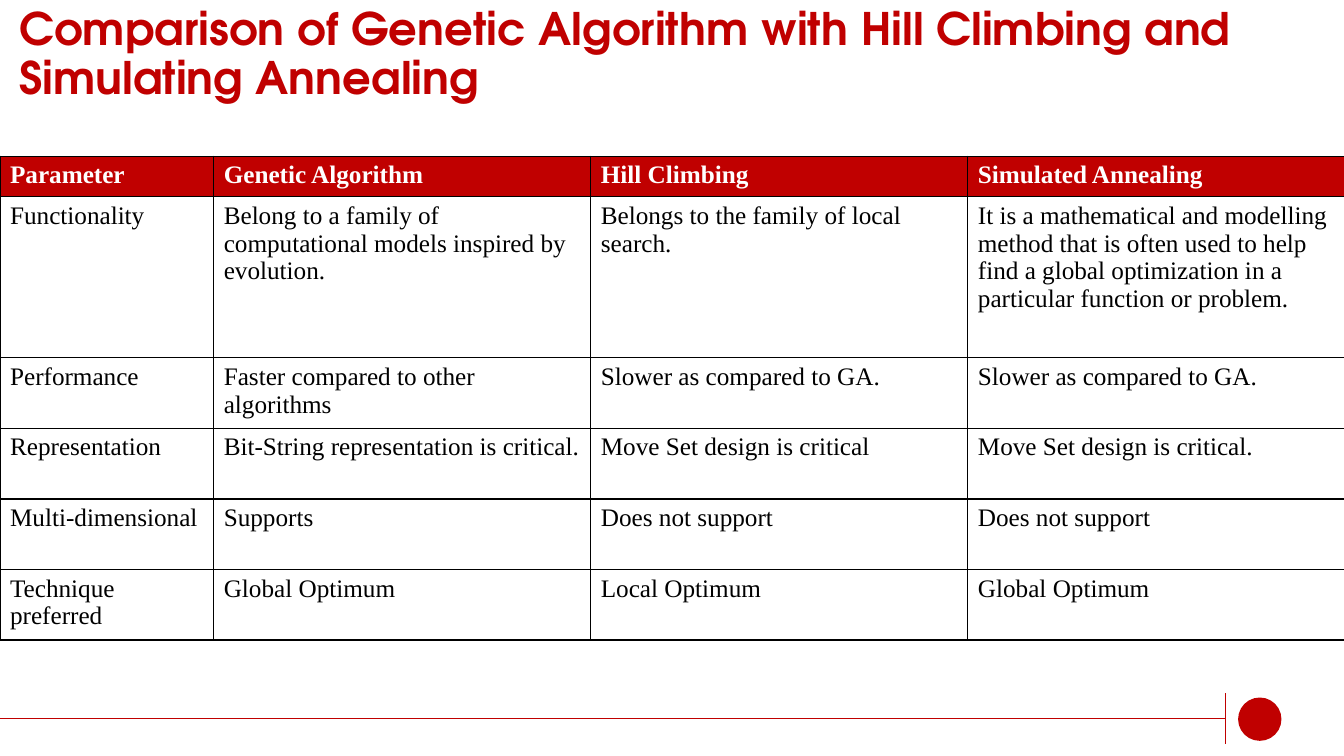
from lxml import etree
from pptx import Presentation
from pptx.dml.color import RGBColor
from pptx.enum.shapes import MSO_CONNECTOR, MSO_SHAPE
from pptx.enum.text import MSO_ANCHOR, MSO_AUTO_SIZE, PP_ALIGN
from pptx.oxml.ns import qn
from pptx.util import Inches, Pt

RED = RGBColor(0xC0, 0x00, 0x00)
WHITE = RGBColor(0xFF, 0xFF, 0xFF)
BLACK = RGBColor(0x00, 0x00, 0x00)
STRAIGHT = MSO_CONNECTOR.STRAIGHT
OVAL = MSO_SHAPE.OVAL
BOTTOM = MSO_ANCHOR.BOTTOM
LEFT = PP_ALIGN.LEFT
NO_AUTOFIT = MSO_AUTO_SIZE.NONE
TITLE_ONLY = 5

TITLE_FONT = {"name": "TeX Gyre Adventor", "size": Pt(32), "bold": True}
HEADER_FONT = {"name": "Times New Roman", "size": Pt(18), "bold": True}
BODY_FONT = {**HEADER_FONT, "bold": False}

TITLE = ("Comparison of Genetic Algorithm with Hill Climbing and "
         "Simulating Annealing")
COL_WIDTHS = [2.12, 3.74, 3.74, 3.74]
ROW_HEIGHTS = [0.4, 1.6, 0.7, 0.7, 0.7, 0.7]
ROWS = [
    ["Parameter", "Genetic Algorithm", "Hill Climbing", "Simulated Annealing"],
    ["Functionality",
     "Belong to a family of computational models inspired by evolution.",
     "Belongs to the family of local search.",
     "It is a mathematical and modelling method that is often used to help "
     "find a global optimization in a particular function or problem."],
    ["Performance", "Faster compared to other algorithms",
     "Slower as compared to GA.", "Slower as compared to GA."],
    ["Representation", "Bit-String representation is critical.",
     "Move Set design is critical", "Move Set design is critical."],
    ["Multi-dimensional", "Supports", "Does not support", "Does not support"],
    ["Technique preferred", "Global Optimum", "Local Optimum",
     "Global Optimum"],
]


def write_text(p, text, font, color):
    r = p.add_run()
    r.text = text
    for name, value in font.items():
        setattr(r.font, name, value)
    r.font.color.rgb = color


def set_title(s):
    sp = s.shapes.title
    sp.left, sp.top = Inches(0.09), Inches(0.24)
    sp.width, sp.height = Inches(12.62), Inches(0.84)
    tf = sp.text_frame
    tf.auto_size = NO_AUTOFIT
    tf.word_wrap = True
    tf.vertical_anchor = BOTTOM
    p = tf.paragraphs[0]
    p.alignment = LEFT
    p.line_spacing = 0.9
    write_text(p, TITLE, TITLE_FONT, RED)


def add_rule(s, x1, y1, x2, y2):
    """Draw a thin red line of the footer."""
    line = s.shapes.add_connector(
        STRAIGHT, Inches(x1), Inches(y1), Inches(x2), Inches(y2))
    line.line.color.rgb = RED
    line.line.width = Pt(0.5)
    etree.SubElement(line._element.spPr, qn("a:effectLst"))


def add_dot(s, left, top, size):
    dot = s.shapes.add_shape(
        OVAL, Inches(left), Inches(top), Inches(size), Inches(size))
    dot.shadow.inherit = False
    dot.fill.solid()
    dot.fill.fore_color.rgb = RED
    dot.line.fill.background()


def set_borders(cell):
    """Give the cell a 1 pt black line on each side, ahead of its fill."""
    tcPr = cell._tc.get_or_add_tcPr()
    for i, side in enumerate(("lnL", "lnR", "lnT", "lnB")):
        ln = etree.Element(qn(f"a:{side}"), w=str(Pt(1)))
        fill = etree.SubElement(ln, qn("a:solidFill"))
        etree.SubElement(fill, qn("a:srgbClr"), val=str(BLACK))
        tcPr.insert(i, ln)


def add_comparison_table(s):
    table = s.shapes.add_table(
        len(ROWS), len(COL_WIDTHS), Inches(0), Inches(1.55),
        Inches(sum(COL_WIDTHS)), Inches(sum(ROW_HEIGHTS))).table
    for column, width in zip(table.columns, COL_WIDTHS):
        column.width = Inches(width)
    for i, (row, height, texts) in enumerate(
            zip(table.rows, ROW_HEIGHTS, ROWS)):
        row.height = Inches(height)
        font, color, back = ((BODY_FONT, BLACK, WHITE) if i
                             else (HEADER_FONT, WHITE, RED))
        for cell, text in zip(row.cells, texts):
            cell.fill.solid()
            cell.fill.fore_color.rgb = back
            set_borders(cell)
            write_text(cell.text_frame.paragraphs[0], text, font, color)


def main():
    prs = Presentation()
    prs.slide_width, prs.slide_height = Inches(13.33), Inches(7.5)
    s = prs.slides.add_slide(prs.slide_layouts[TITLE_ONLY])
    add_dot(s, 12.28, 6.92, 0.43)
    add_rule(s, 12.15, 6.88, 12.15, 7.38)
    add_rule(s, 0, 7.13, 12.15, 7.13)
    set_title(s)
    add_comparison_table(s)
    prs.save("out.pptx")


if __name__ == "__main__":
    main()
